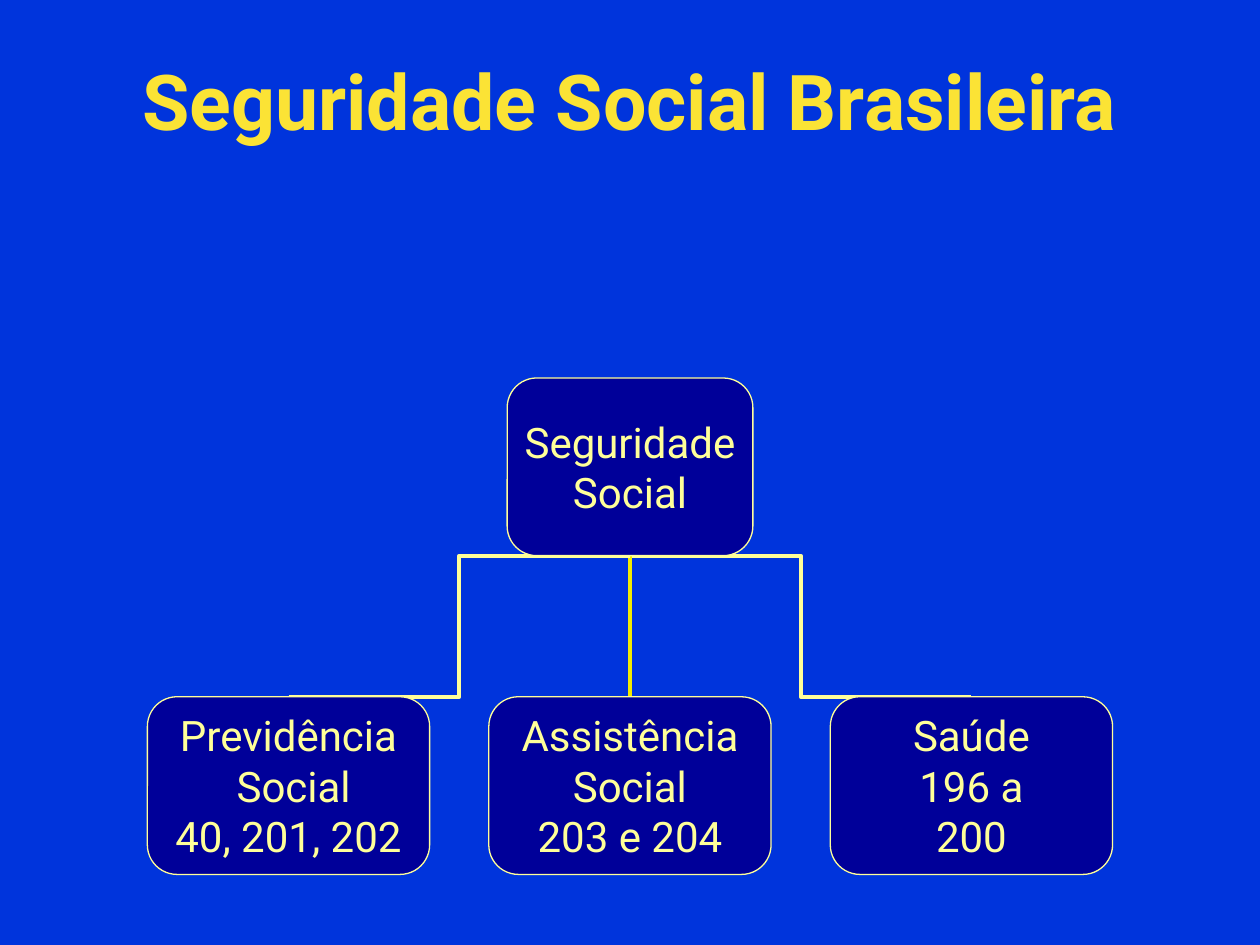
from pptx import Presentation
from pptx.dml.color import RGBColor
from pptx.enum import shapes as sh, text as tx
from pptx.oxml.ns import qn
from pptx.util import Inches, Pt
from lxml import etree

TITLE = "Seguridade Social Brasileira"
ROOT = ["Seguridade Social"]
# lines of text, side inset, top inset
BRANCHES = [
    (["Previdência", " Social", "40, 201, 202"], 0.06, 0.03),
    (["Assistência Social", "203 e 204"], 0.06, 0.03),
    (["Saúde", "196 a 200"], 0.58, 0.29),
]
BLUE, NAVY, CREAM, YELLOW, GOLD = "0034DC", "000099", "FFFF99", "F2EC00", "FBE335"
MID, STEP = 5, 2.71
ROOT_W, BOX_W, BOX_H = 1.95, 2.24, 1.41
ROOT_Y, ROW_Y = 3, 5.53


def rgb(code):
    return RGBColor.from_string(code)


def write(shape, lines, size, color, side, top, bold=False):
    frame = shape.text_frame
    frame.word_wrap = True
    frame.vertical_anchor = tx.MSO_ANCHOR.MIDDLE
    frame.margin_left = frame.margin_right = Inches(side)
    frame.margin_top = frame.margin_bottom = Inches(top)
    frame.text = "\n".join(lines)
    for par in frame.paragraphs:
        par.alignment = tx.PP_ALIGN.CENTER
        font = par.font
        font.name, font.size, font.bold = "Roboto", Pt(size), bold
        font.color.rgb = rgb(color)


def add_box(mid, top, width, lines, side=0.06, inset=0.03):
    box = slide.shapes.add_shape(
        sh.MSO_SHAPE.ROUNDED_RECTANGLE,
        Inches(mid - width / 2), Inches(top), Inches(width), Inches(BOX_H))
    box.shadow.inherit = False
    box.fill.solid()
    box.fill.fore_color.rgb = rgb(NAVY)
    box.line.color.rgb = rgb(CREAM)
    box.line.width = Pt(0.75)
    write(box, lines, 24, CREAM, side, inset)
    return box


def add_link(kind, mid, color):
    """Draw a line behind the boxes, from a branch's top up to the root."""
    link = slide.shapes.add_connector(
        kind, Inches(mid), Inches(ROW_Y), Inches(MID), Inches(ROOT_Y + BOX_H))
    link.line.color.rgb = rgb(color)
    link.line.width = Pt(2.25)
    etree.SubElement(link._element.spPr, qn("a:effectLst"))
    slide.shapes._spTree.insert(2, link._element)
    return link


deck = Presentation()
deck.slide_width, deck.slide_height = Inches(10), Inches(7.5)
slide = deck.slides.add_slide(deck.slide_layouts[6])
slide.background.fill.solid()
slide.background.fill.fore_color.rgb = rgb(BLUE)

title = slide.shapes.add_textbox(Inches(0.75), Inches(0.01), Inches(8.5), Inches(1.57))
write(title, [TITLE], 44, GOLD, 0.1, 0.05, bold=True)

root = add_box(MID, ROOT_Y, ROOT_W, ROOT)
for i, (lines, side, inset) in enumerate(BRANCHES):
    mid = MID + (i - 1) * STEP
    box = add_box(mid, ROW_Y, BOX_W, lines, side, inset)
    if mid == MID:
        link = add_link(sh.MSO_CONNECTOR.STRAIGHT, mid, YELLOW)
        link.begin_connect(box, 0)
        link.end_connect(root, 2)
    else:
        add_link(sh.MSO_CONNECTOR.ELBOW, mid, CREAM)

deck.save("out.pptx")
